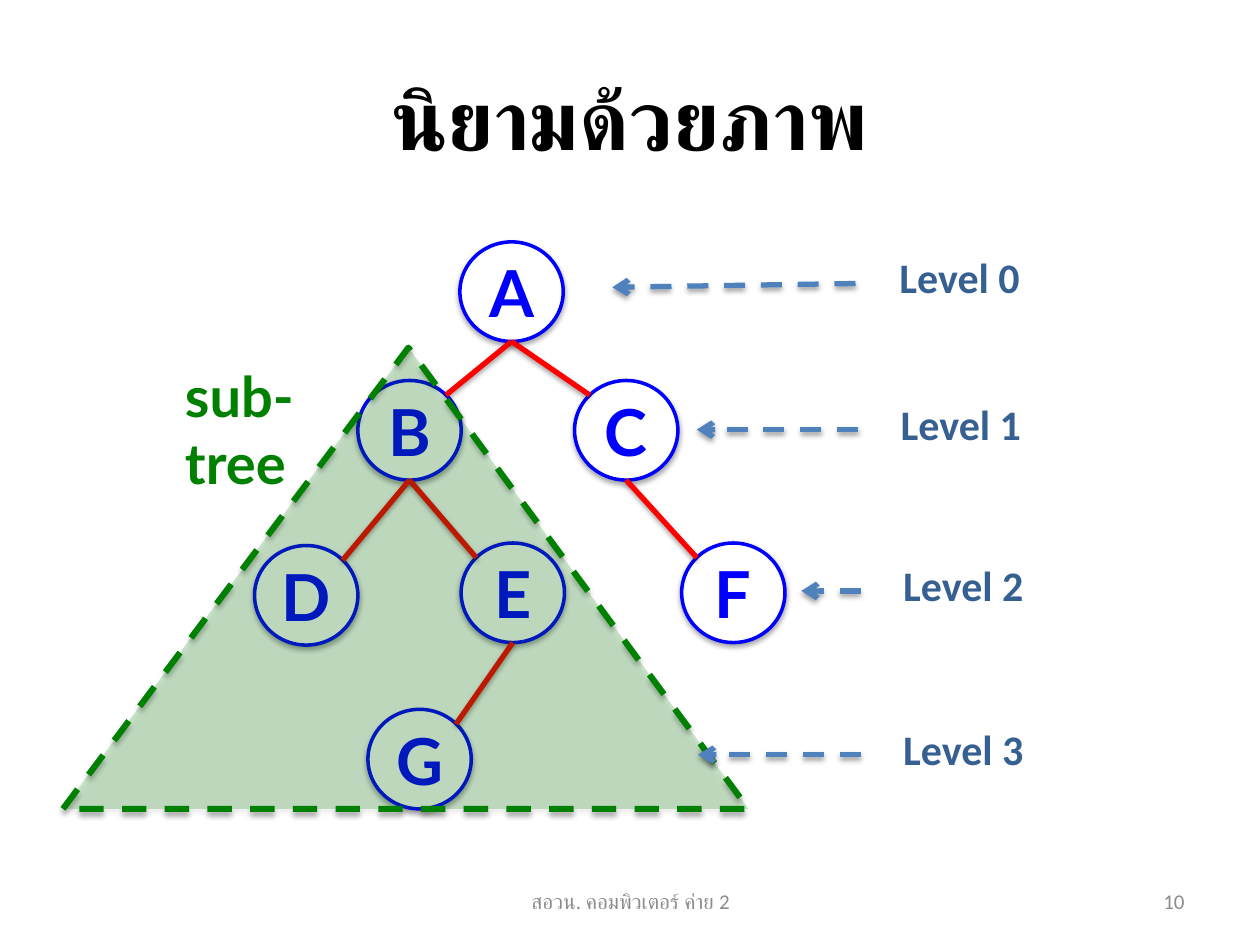
import dataclasses
import math

import lxml.etree
import pptx
import pptx.dml.color
import pptx.enum.dml
import pptx.enum.shapes
import pptx.enum.text
import pptx.oxml.ns
import pptx.util

Inches = pptx.util.Inches
Pt = pptx.util.Pt
ALIGN = pptx.enum.text.PP_ALIGN
ANCHOR = pptx.enum.text.MSO_ANCHOR
SHAPE = pptx.enum.shapes.MSO_SHAPE
COLORS = {
    "black": "000000", "white": "FFFFFF", "node": "0000FF", "edge": "FF0000",
    "tree": "008000", "arrow": "4F81BD", "level": "376092", "foot": "8C8C8C",
}
WIDTH, HEIGHT = 0.82, 0.79


@dataclasses.dataclass
class Node:
    name: str
    left: float
    top: float
    parent: str = ""

    @property
    def mid(self):
        return self.left + WIDTH / 2


@dataclasses.dataclass
class Level:
    label: str
    left: float
    top: float
    start: tuple
    end: tuple


NODES = [
    Node("A", 3.65, 1.92),
    Node("B", 2.84, 3.02, "A"),
    Node("C", 4.56, 3.02, "A"),
    Node("E", 3.66, 4.31, "B"),
    Node("D", 2.02, 4.33, "B"),
    Node("F", 5.41, 4.31, "C"),
    Node("G", 2.92, 5.63, "E"),
]
LEVELS = [
    Level("Level 0", 7.04, 1.95, (6.79, 2.25), (4.86, 2.28)),
    Level("Level 1", 7.05, 3.11, (6.81, 3.41), (5.53, 3.41)),
    Level("Level 2", 7.07, 4.39, (6.83, 4.69), (6.36, 4.69)),
    Level("Level 3", 7.07, 5.69, (6.83, 5.99), (5.54, 5.99)),
]


def color(name: str):
    return pptx.dml.color.RGBColor.from_string(COLORS[name])


def add_xml(parent, tag: str, **attrs):
    return lxml.etree.SubElement(parent, pptx.oxml.ns.qn(tag), attrs)


def shade(props, alpha: int, dist: float) -> None:
    """Give shape properties a soft shadow that falls straight down."""
    effects = props.find(pptx.oxml.ns.qn("a:effectLst"))
    if effects is None:
        effects = add_xml(props, "a:effectLst")
    shadow = add_xml(effects, "a:outerShdw", blurRad=str(Pt(3.1)),
                     dist=str(Pt(dist)), dir="5400000", rotWithShape="0")
    tint = add_xml(shadow, "a:srgbClr", val=COLORS["black"])
    add_xml(tint, "a:alpha", val=str(alpha * 1000))


def write(shape, text: str, *, size: float, ink: str, font: str = "Lato",
          bold: bool = True, align=ALIGN.LEFT, anchor=ANCHOR.TOP,
          wrap: bool = True) -> None:
    frame = shape.text_frame
    frame.word_wrap = wrap
    frame.vertical_anchor = anchor
    par = frame.paragraphs[0]
    par.alignment = align
    run = par.add_run()
    run.text = text
    run.font.size = Pt(size)
    run.font.name = font
    run.font.bold = bold
    run.font.color.rgb = color(ink)


def add_text(slide, box: tuple, text: str, **style) -> None:
    write(slide.shapes.add_textbox(*map(Inches, box)), text, **style)


def add_shape(slide, kind, box: tuple, fill: str, line: str, width: float):
    shape = slide.shapes.add_shape(kind, *map(Inches, box))
    shape.fill.solid()
    shape.fill.fore_color.rgb = color(fill)
    shape.line.color.rgb = color(line)
    shape.line.width = Pt(width)
    shape.shadow.inherit = False
    shade(shape._element.spPr, 35, 1.8)
    return shape


def add_node(slide, node: Node) -> None:
    box = (node.left, node.top, WIDTH, HEIGHT)
    shape = add_shape(slide, SHAPE.OVAL, box, "white", "node", 2)
    frame = shape.text_frame
    frame.margin_left = frame.margin_right = 0
    frame.margin_top = frame.margin_bottom = 0
    write(shape, node.name, size=37, ink="node", align=ALIGN.CENTER,
          anchor=ANCHOR.MIDDLE)


def add_line(slide, start: tuple, end: tuple, ink: str, arrow: bool = False) -> None:
    line = slide.shapes.add_connector(
        pptx.enum.shapes.MSO_CONNECTOR.STRAIGHT, *map(Inches, start + end))
    line.line.color.rgb = color(ink)
    line.line.width = Pt(3)
    if arrow:
        line.line.dash_style = pptx.enum.dml.MSO_LINE.DASH
        add_xml(line.line._get_or_add_ln(), "a:tailEnd", type="arrow")
    shade(line._element.spPr, 38, 1.6)


def add_edge(slide, parent: Node, child: Node) -> None:
    """Join the parent's foot to the child's upper diagonal point."""
    side = 1 if child.mid < parent.mid else -1
    cos = math.sqrt(0.5)
    end = (child.mid + side * cos * WIDTH / 2,
           child.top + (1 - cos) * HEIGHT / 2)
    add_line(slide, (parent.mid, parent.top + HEIGHT), end, "edge")


def add_region(slide) -> None:
    region = add_shape(slide, SHAPE.ISOSCELES_TRIANGLE, (0.5, 2.76, 5.44, 3.66),
                       "tree", "tree", 3.5)
    region.adjustments[0] = 0.504
    region.line.dash_style = pptx.enum.dml.MSO_LINE.DASH
    tint = region._element.spPr.find(
        pptx.oxml.ns.qn("a:solidFill") + "/" + pptx.oxml.ns.qn("a:srgbClr"))
    add_xml(tint, "a:alpha", val="20000")
    add_text(slide, (1.37, 2.82, 1.4, 0.64), "sub-tree", size=32, ink="tree")


def add_level(slide, level: Level) -> None:
    add_line(slide, level.start, level.end, "arrow", arrow=True)
    add_text(slide, (level.left, level.top, 1.17, 0.5), level.label,
             size=24, ink="level", font="Calibri", wrap=False)


def main() -> None:
    deck = pptx.Presentation()
    deck.slide_width, deck.slide_height = Inches(10), Inches(7.5)
    slide = deck.slides.add_slide(deck.slide_layouts[5])
    title = slide.shapes.title
    title.left, title.top = Inches(0.5), Inches(0.3)
    title.width, title.height = Inches(9), Inches(1.25)
    write(title, "นิยามด้วยภาพ", size=48, ink="black", align=ALIGN.CENTER,
          anchor=ANCHOR.MIDDLE)

    named = {node.name: node for node in NODES}
    for node in NODES:
        add_node(slide, node)
    for node in NODES:
        if node.parent:
            add_edge(slide, named[node.parent], node)
    add_region(slide)
    for level in LEVELS:
        add_level(slide, level)

    foot = {"size": 12, "ink": "foot", "font": "Calibri", "bold": False,
            "anchor": ANCHOR.MIDDLE}
    add_text(slide, (3.42, 6.95, 3.17, 0.4), "สอวน. คอมพิวเตอร์ ค่าย 2",
             align=ALIGN.CENTER, **foot)
    add_text(slide, (7.17, 6.95, 2.33, 0.4), "10", align=ALIGN.RIGHT, **foot)
    deck.save("out.pptx")


if __name__ == "__main__":
    main()
